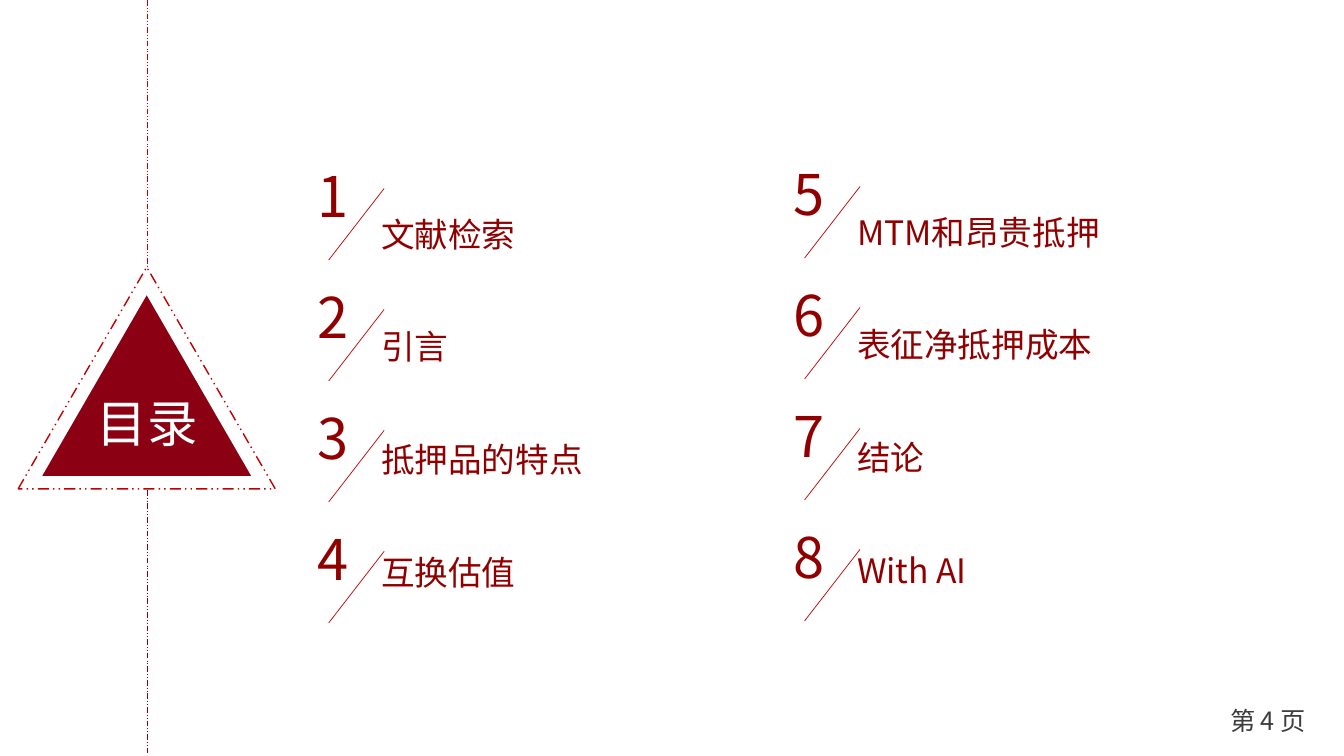
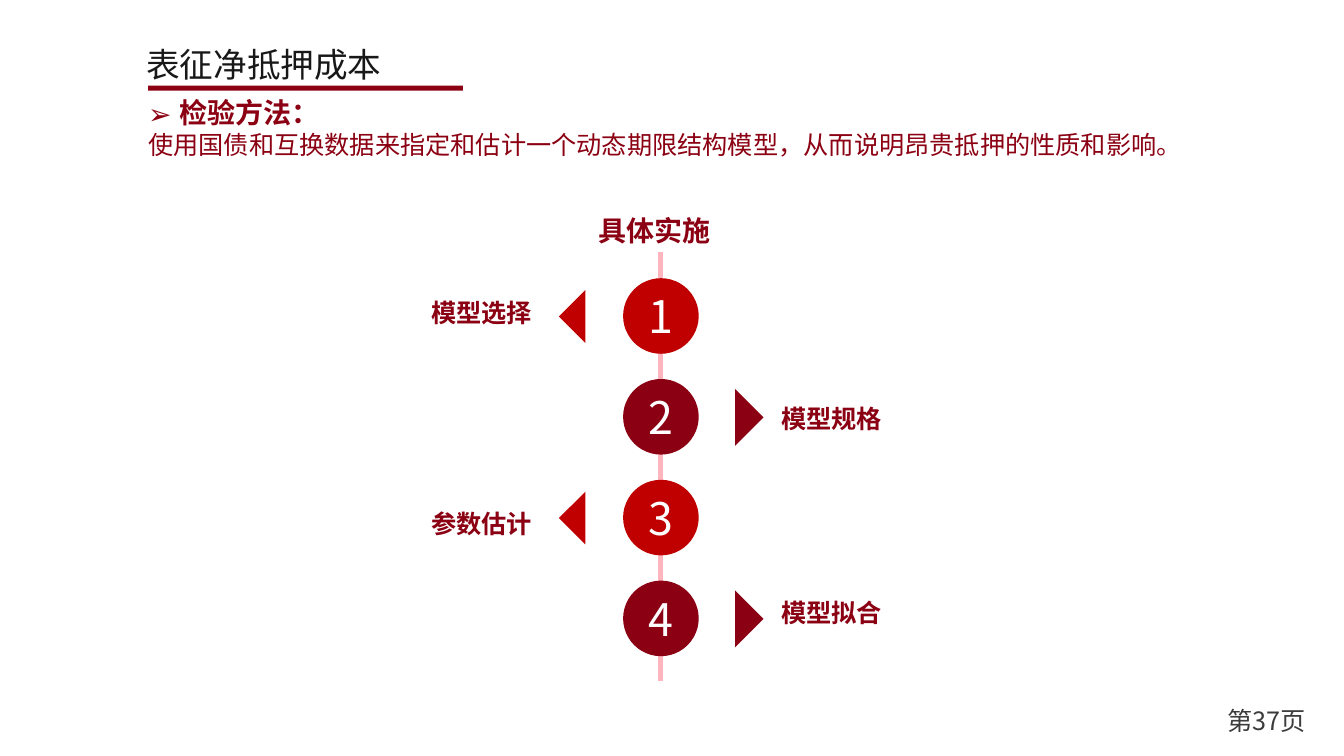
from dataclasses import dataclass

from lxml import etree
from pptx import Presentation
from pptx.dml.color import RGBColor
from pptx.enum import dml, shapes, text
from pptx.oxml import ns
from pptx.util import Inches, Pt

FACE = "Noto Sans CJK SC"
WINE, RED, DEEP = "8B0012", "C00000", "900000"
PINK, GREY, INK, WHITE = "FFB5BE", "3C3C3C", "181818", "FFFFFF"
LEFT, MID, RIGHT = text.PP_ALIGN.LEFT, text.PP_ALIGN.CENTER, text.PP_ALIGN.RIGHT
TOP, HALF = text.MSO_ANCHOR.TOP, text.MSO_ANCHOR.MIDDLE
DASH = dml.MSO_LINE.DASH_DOT_DOT
KIND = shapes.MSO_SHAPE
PITCH = 1.2
LEAD = 34.75


@dataclass
class Column:
    left: float
    top: float
    start: int
    items: list[str]


@dataclass
class Side:
    color: str
    x: float
    size: float
    turn: float
    text: float


@dataclass
class Step:
    label: str
    top: float
    side: Side


def paint(color: str) -> RGBColor:
    return RGBColor.from_string(color)


def style(para, size: float, color: str, align=LEFT, bold: bool = False) -> None:
    para.alignment = align
    for run in para.runs:
        font = run.font
        font.size, font.bold, font.name = Pt(size), bold, FACE
        font.color.rgb = paint(color)
        face = etree.SubElement(run._r.get_or_add_rPr(), ns.qn("a:ea"))
        face.set("typeface", FACE)


def bullet(para, mark: str = "", indent: float = 0) -> None:
    props = para._p.get_or_add_pPr()
    props.set("marL", str(Inches(indent)))
    props.set("indent", str(-Inches(indent)))
    if mark:
        etree.SubElement(props, ns.qn("a:buFont")).set("typeface", FACE)
        etree.SubElement(props, ns.qn("a:buChar")).set("char", mark)
    else:
        etree.SubElement(props, ns.qn("a:buNone"))


def place(shape, left: float, top: float, width: float, height: float,
          anchor=TOP, wrap: bool = True):
    shape.left, shape.top = Inches(left), Inches(top)
    shape.width, shape.height = Inches(width), Inches(height)
    frame = shape.text_frame
    frame.auto_size = text.MSO_AUTO_SIZE.NONE
    frame.word_wrap, frame.vertical_anchor = wrap, anchor
    return frame


def write(slide, words: str, left: float, top: float, width: float, height: float,
          size: float, color: str, align=LEFT, bold: bool = False,
          anchor=TOP, wrap: bool = True):
    box = slide.shapes.add_textbox(0, 0, 0, 0)
    frame = place(box, left, top, width, height, anchor, wrap)
    frame.text = words
    style(frame.paragraphs[0], size, color, align, bold)
    return frame.paragraphs[0]


def draw(slide, kind, left: float, top: float, width: float, height: float,
         fill: str = "", edge: str = "", turn: float = 0):
    shape = slide.shapes.add_shape(
        kind, Inches(left), Inches(top), Inches(width), Inches(height))
    shape.shadow.inherit = False
    shape.rotation = turn
    if fill:
        shape.fill.solid()
        shape.fill.fore_color.rgb = paint(fill)
    else:
        shape.fill.background()
    if edge:
        shape.line.color.rgb = paint(edge)
        shape.line.width = Pt(1)
        shape.line.dash_style = DASH
    else:
        shape.line.fill.background()
    return shape


def link(slide, x1: float, y1: float, x2: float, y2: float, color: str,
         width: float = 0.5, dash=None) -> None:
    line = slide.shapes.add_connector(
        shapes.MSO_CONNECTOR.STRAIGHT, Inches(x1), Inches(y1), Inches(x2), Inches(y2))
    line.line.color.rgb = paint(color)
    line.line.width = Pt(width)
    if dash:
        line.line.dash_style = dash
    etree.SubElement(line._element.spPr, ns.qn("a:effectLst"))


def title(slide, words: str, spot: tuple, size: float, color: str,
          align=LEFT, anchor=TOP):
    frame = place(slide.shapes.title, *spot, anchor)
    frame.text = words
    style(frame.paragraphs[0], size, color, align)
    return frame


def footer(slide, words: str) -> None:
    write(slide, words, 11.48, 6.95, 1.57, 0.4, 18, GREY, RIGHT, anchor=HALF)


def fill_column(slide, holder, col: Column) -> None:
    frame = place(holder, col.left + 0.63, col.top + 0.52, 4.64, 4.2)
    frame.text = "\n".join(col.items)
    for row, para in enumerate(frame.paragraphs):
        bullet(para)
        para.space_before = Pt(PITCH * 72 - LEAD if row else 0)
        style(para, 24, DEEP)
        top = col.top + row * PITCH
        write(slide, str(col.start + row), col.left, top, 0.42, 0.77, 40, DEEP)
        link(slide, col.left + 0.76, top + 0.32, col.left + 0.21, top + 1.03, RED)


def agenda(deck) -> None:
    slide = deck.slides.add_slide(deck.slide_layouts[3])
    draw(slide, KIND.ISOSCELES_TRIANGLE, 0.42, 2.93, 2.07, 1.79, fill=WINE)
    draw(slide, KIND.ISOSCELES_TRIANGLE, 0.18, 2.65, 2.55, 2.2, edge=RED)
    link(slide, 1.46, 0, 1.46, 2.65, RED, dash=DASH)
    link(slide, 1.46, 4.86, 1.46, 7.5, WINE, dash=DASH)
    frame = title(slide, "目录", (0.86, 3.82, 1.2, 0.74), 36, WHITE, MID, HALF)
    frame.margin_left = frame.margin_right = 0
    frame.margin_top = frame.margin_bottom = 0
    head = slide.shapes.title._element
    head.getparent().append(head)
    cols = [
        Column(3.05, 1.55, 1, ["文献检索", "引言", "抵押品的特点", "互换估值"]),
        Column(7.77, 1.53, 5, ["MTM和昂贵抵押", "表征净抵押成本", "结论", "With AI"]),
    ]
    for spot, col in enumerate(cols, 1):
        fill_column(slide, slide.placeholders[spot], col)
    footer(slide, "第 4 页")


def method(deck) -> None:
    slide = deck.slides.add_slide(deck.slide_layouts[1])
    title(slide, "表征净抵押成本", (1.35, 0.39, 7.18, 0.5), 24, INK)
    draw(slide, KIND.RECTANGLE, 1.47, 0.85, 3.12, 0.05, fill=WINE)

    frame = place(slide.placeholders[1], 1.37, 0.9, 10.5, 0.74)
    frame.text = ("检验方法：\n"
                  "使用国债和互换数据来指定和估计一个动态期限结构模型，从而说明昂贵抵押的性质和影响。")
    lead, body = frame.paragraphs
    bullet(lead, "➢", 0.31)
    bullet(body)
    lead.space_before = body.space_before = Pt(0)
    style(lead, 20, WINE, bold=True)
    style(body, 18, WINE)

    write(slide, "具体实施", 5.84, 2.07, 1.42, 0.44, 20, WINE, bold=True)
    link(slide, 6.55, 2.5, 6.55, 6.76, PINK, 3)
    west = Side(RED, 5.62, 0.37, 45, 4.18)
    east = Side(WINE, 7.09, 0.4, 225, 7.65)
    steps = [
        Step("模型选择", 2.87, west),
        Step("模型规格", 3.92, east),
        Step("参数估计", 4.96, west),
        Step("模型拟合", 5.85, east),
    ]
    for row, step in enumerate(steps):
        side, top = step.side, 2.76 + row
        disc = draw(slide, KIND.OVAL, 6.18, top, 0.75, 0.75, fill=side.color)
        disc.text_frame.text = str(row + 1)
        disc.text_frame.vertical_anchor = HALF
        style(disc.text_frame.paragraphs[0], 32, WHITE, MID)
        draw(slide, KIND.RIGHT_TRIANGLE, side.x, top + 0.38 - side.size / 2,
             side.size, side.size, fill=side.color, turn=side.turn)
        para = write(slide, step.label, side.text, step.top, 1.21, 0.43, 18, WINE,
                     bold=True, wrap=False)
        para.line_spacing = 1.1
    footer(slide, "第37页")


def main() -> None:
    deck = Presentation()
    deck.slide_width, deck.slide_height = Inches(13.33), Inches(7.5)
    agenda(deck)
    method(deck)
    deck.save("out.pptx")


if __name__ == "__main__":
    main()
